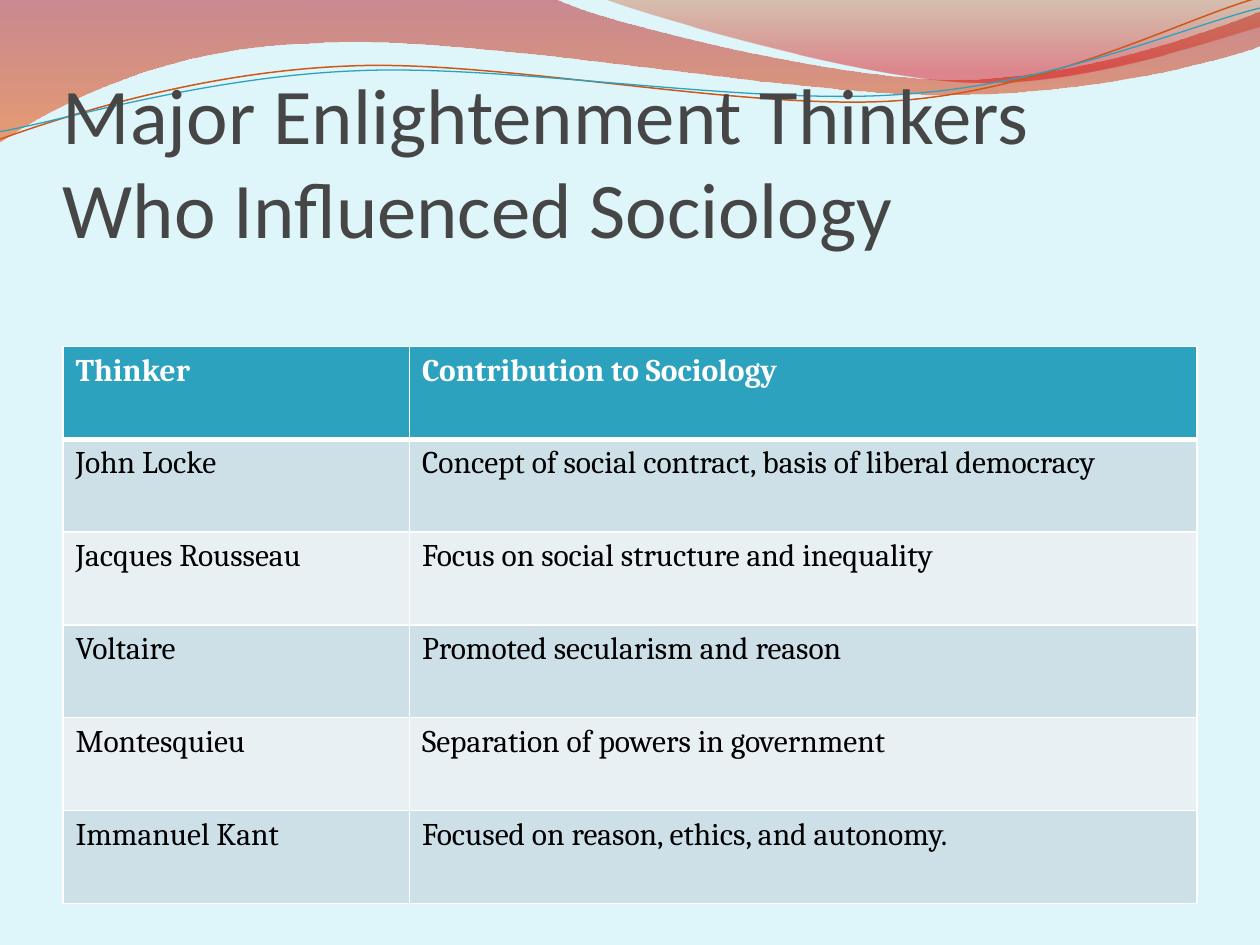
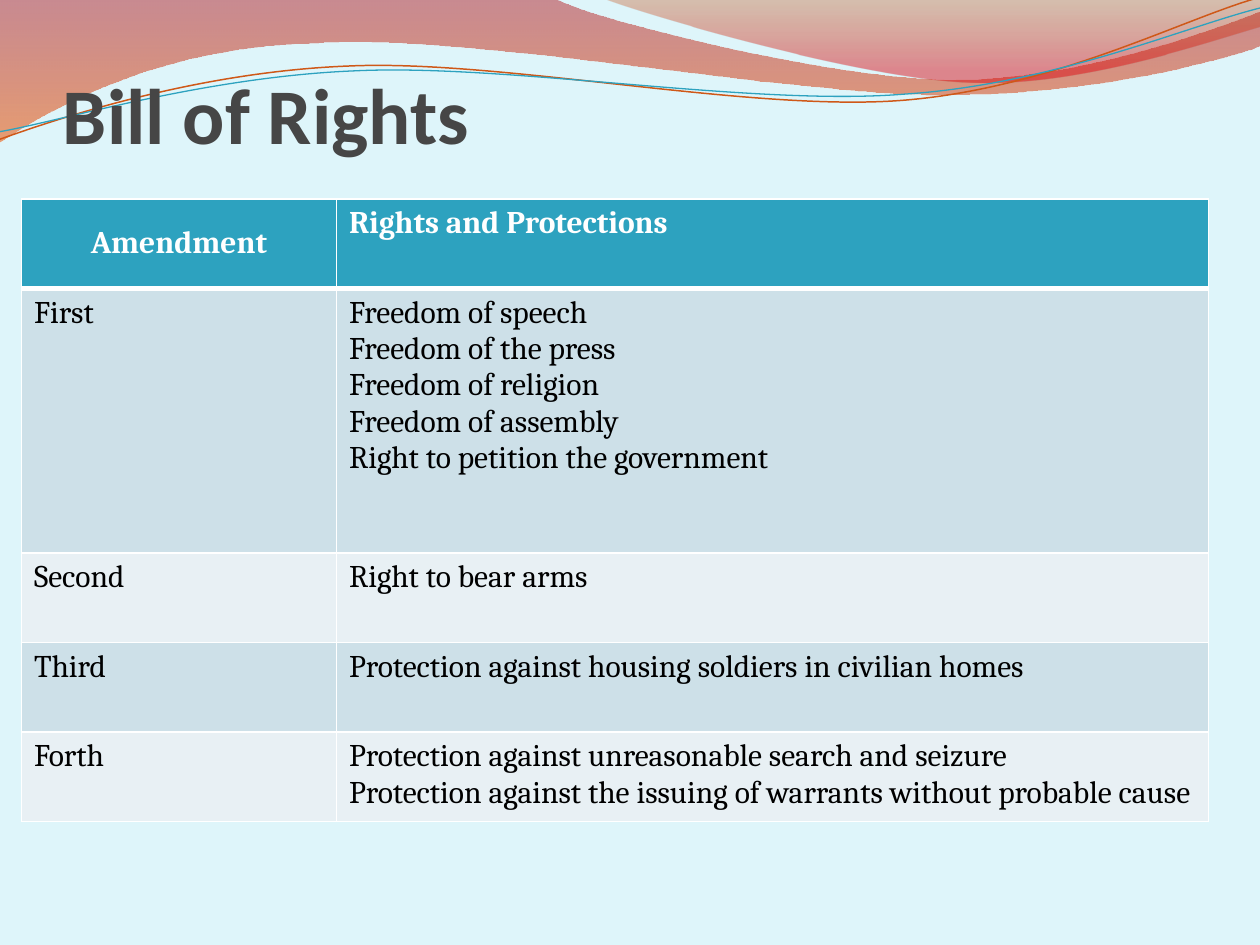
import pptx
import pptx.dml.color
import pptx.enum.text
import pptx.oxml
import pptx.oxml.ns
import pptx.util

PX = 9144  # EMU per px, at 100 px to the inch

BACKGROUND = "DEF5FA"
TITLE_COLOUR = "464646"
TEAL = "2DA2BF"
ORANGE = "CF5818"
WHITE = "FFFFFF"
BLACK = "000000"
ROW_FILLS = ("CDE0E8", "E8F0F4")
WAVE_TILT = -2.7

# Outlines: a start point, then a line (one point) or a Bezier curve (three points) per step.
LEFT_BAND = [
    (0, 0), [(440, -1)],
    [(476, 17), (664, 63), (758, 63)], [(853, 63), (958, 26), (1000, 9)],
    [(1001, 36)],
    [(983, 44), (870, 76), (746, 75)], [(622, 75), (382, 28), (257, 34)],
    [(129, 36), (46, 83), (-1, 113)], [(0, 0)],
]
RIGHT_BAND = [
    (479, -1), [(509, 11), (682, 62), (769, 65)], [(856, 69), (961, 32), (1000, 21)],
    [(1000, 0)], [(479, -1)],
]
# The waves are level here and tilted once drawn.
ORANGE_WAVE = [
    (-2, 87), [(47, 72), (158, 41), (277, 42)], [(396, 42), (591, 93), (712, 90)],
    [(832, 87), (940, 36), (1000, 22)],
]
TEAL_WAVE = [
    (-2, 81), [(46, 75), (164, 45), (283, 46)], [(403, 46), (596, 89), (716, 85)],
    [(835, 83), (942, 42), (1002, 30)],
]


def colour(hex_code):
    return pptx.dml.color.RGBColor.from_string(hex_code)


def emu(*lengths):
    return [round(length * PX) for length in lengths]


class SlideBuilder:
    def __init__(self):
        self.deck = pptx.Presentation()
        self.deck.slide_width, self.deck.slide_height = emu(1000, 750)
        self.page = None

    def start(self, title, bold=False):
        """Add a slide with the shared background, waves and title."""
        self.page = self.deck.slides.add_slide(self.deck.slide_layouts[6])
        fill = self.page.background.fill
        fill.solid()
        fill.fore_color.rgb = colour(BACKGROUND)
        self.band(LEFT_BAND, [(0, "AF0911", 45), (100, "EE5300", 55)])
        self.band(RIGHT_BAND, [(0, "C24400", 30), (80, "DC000B", 45)])
        self.wave(ORANGE_WAVE, ORANGE, 0.85)
        self.wave(TEAL_WAVE, TEAL, 0.75)
        self.title(title, bold)

    def outline(self, outline, close):
        """Draw straight segments through all points, then bend each group of three into a curve."""
        start, *steps = outline
        builder = self.page.shapes.build_freeform(*emu(*start))
        builder.add_line_segments([emu(*point) for step in steps for point in step], close=close)
        shape = builder.convert_to_shape()
        shape.shadow.inherit = False
        shape.fill.background()
        segments = iter(list(shape.element.iter(pptx.oxml.ns.qn("a:lnTo"))))
        for step in steps:
            lines = [next(segments) for _ in step]
            if len(lines) == 3:
                curve = pptx.oxml.parse_xml(f'<a:cubicBezTo {pptx.oxml.ns.nsdecls("a")}/>')
                lines[0].addprevious(curve)
                for line in lines:
                    curve.append(line[0])
                    line.getparent().remove(line)
        return shape

    def band(self, outline, stops):
        """Draw a closed outline with a downward gradient of (position, colour, opacity) stops."""
        shape = self.outline(outline, True)
        shape.line.fill.background()
        stop_xml = "".join(
            f'<a:gs pos="{position * 1000}"><a:srgbClr val="{hex_code}">'
            f'<a:alpha val="{opacity * 1000}"/></a:srgbClr></a:gs>'
            for position, hex_code, opacity in stops)
        gradient = pptx.oxml.parse_xml(
            f'<a:gradFill {pptx.oxml.ns.nsdecls("a")}><a:gsLst>{stop_xml}</a:gsLst>'
            '<a:lin ang="5400000" scaled="0"/></a:gradFill>')
        properties = shape.element.spPr
        properties.replace(properties.find(pptx.oxml.ns.qn("a:noFill")), gradient)

    def wave(self, outline, hex_code, width):
        shape = self.outline(outline, False)
        shape.rotation = WAVE_TILT
        shape.line.color.rgb = colour(hex_code)
        shape.line.width = pptx.util.Pt(width)

    def font(self, paragraph, name, size, hex_code, bold):
        font = paragraph.font
        font.name, font.size, font.bold = name, pptx.util.Pt(size), bold
        font.color.rgb = colour(hex_code)

    def title(self, text, bold):
        box = self.page.shapes.add_textbox(*emu(50, 77, 900, 125))
        frame = box.text_frame
        frame.word_wrap = True
        frame.vertical_anchor = pptx.enum.text.MSO_ANCHOR.BOTTOM
        frame.margin_left = frame.margin_right = frame.margin_bottom = 0
        frame.text = text
        self.font(frame.paragraphs[0], "Calibri", 45, TITLE_COLOUR, bold)

    def borders(self, cell, widths):
        """Give a cell white borders; widths maps L, R, T and B to points."""
        properties = cell._tc.get_or_add_tcPr()
        for side in "LRTB":
            properties.append(pptx.oxml.parse_xml(
                f'<a:ln{side} {pptx.oxml.ns.nsdecls("a")} w="{widths[side] * 12700}">'
                f'<a:solidFill><a:srgbClr val="{WHITE}"/></a:solidFill></a:ln{side}>'))

    def table(self, left, top, column_widths, row_heights, rows):
        frame = self.page.shapes.add_table(
            len(rows), len(column_widths),
            *emu(left, top, sum(column_widths), sum(row_heights)))
        table = frame.table
        table.horz_banding = False
        for column, width in zip(table.columns, emu(*column_widths)):
            column.width = width
        for row, height in zip(table.rows, emu(*row_heights)):
            row.height = height
        for row_index, texts in enumerate(rows):
            header = row_index == 0
            widths = {"L": 1, "R": 1, "T": 3 if row_index == 1 else 1, "B": 3 if header else 1}
            for column_index, text in enumerate(texts):
                cell = table.cell(row_index, column_index)
                self.borders(cell, widths)
                cell.fill.solid()
                cell.fill.fore_color.rgb = colour(TEAL if header else ROW_FILLS[(row_index - 1) % 2])
                cell.text = text
                for paragraph in cell.text_frame.paragraphs:
                    self.font(paragraph, "Cambria", 18, WHITE if header else BLACK, header)
        return table

    def centre(self, cell):
        cell.vertical_anchor = pptx.enum.text.MSO_ANCHOR.MIDDLE
        cell.margin_left, cell.margin_top, cell.margin_right, cell.margin_bottom = emu(3, 3, 3, 3)
        cell.text_frame.paragraphs[0].alignment = pptx.enum.text.PP_ALIGN.CENTER


def main():
    slides = SlideBuilder()

    slides.start("Major Enlightenment Thinkers Who Influenced Sociology")
    thinkers = [
        ("Thinker", "Contribution to Sociology"),
        ("John Locke", "Concept of social contract, basis of liberal democracy"),
        ("Jacques Rousseau", "Focus on social structure and inequality"),
        ("Voltaire", "Promoted secularism and reason"),
        ("Montesquieu", "Separation of powers in government"),
        ("Immanuel Kant", "Focused on reason, ethics, and autonomy."),
    ]
    slides.table(50, 275, [275, 625], [442 / len(thinkers)] * len(thinkers), thinkers)

    slides.start("Bill of Rights\v", bold=True)
    first_rights = ["Freedom of speech", "Freedom of the press", "Freedom of religion",
                    "Freedom of assembly", "Right to petition the government"]
    fourth_rights = ["Protection against unreasonable search and seizure",
                     "Protection against the issuing of warrants without probable cause"]
    amendments = [
        ("Amendment", "Rights and Protections"),
        ("First", "\n".join(first_rights)),
        ("Second", "Right to bear arms"),
        ("Third", "Protection against housing soldiers in civilian homes"),
        ("Forth", "\n".join(fourth_rights)),
    ]
    table = slides.table(17, 158, [250, 692], [71, 210, 71, 71, 71], amendments)
    slides.centre(table.cell(0, 0))

    slides.deck.save("out.pptx")


if __name__ == "__main__":
    main()
